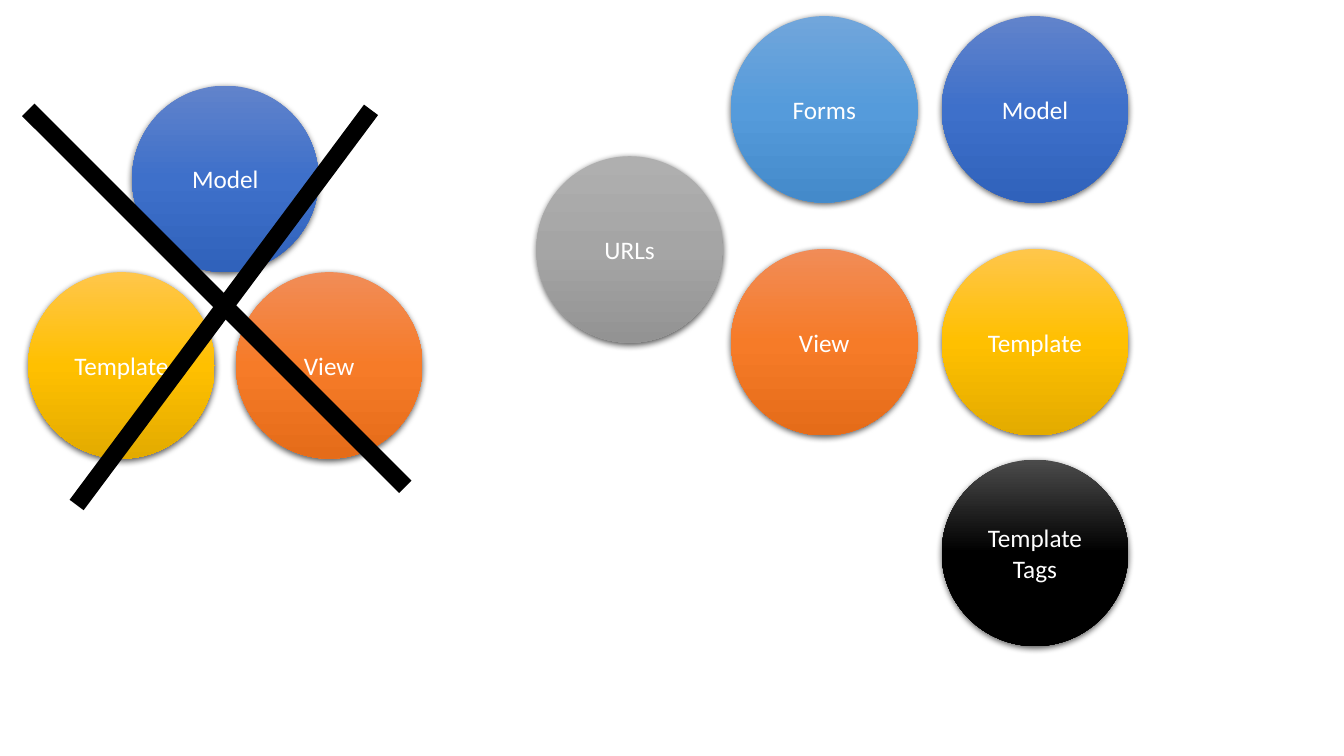
from copy import deepcopy
from typing import NamedTuple

from lxml import etree
from pptx import Presentation, util as u
from pptx.dml.color import RGBColor
from pptx.enum import shapes, text
from pptx.oxml import ns
from pptx.slide import Slide

PX = 9144
DIAMETER = 185
COLORS = {"text": "FFFFFF", "cross": "000000", "shadow": "000000"}
GRADIENTS = {
    "blue": ("6183CB", "3E70CA", "3062BB"),
    "orange": ("F18C57", "F67B28", "E56C19"),
    "gold": ("FFC64B", "FFC000", "E3AB00"),
    "gray": ("AFAFAF", "A5A5A5", "939393"),
    "black": ("4B4B4B", "000000", "000000"),
    "sky": ("71A6DB", "559BDB", "448ACA"),
}


class Circle(NamedTuple):
    label: str
    gradient: str
    left: int
    top: int


class Stroke(NamedTuple):
    x1: int
    y1: int
    x2: int
    y2: int


COLUMNS = (532, 725, 934)
ROWS = (16, 247, 456)
CIRCLES = (
    Circle("Model", "blue", 131, 85),
    Circle("View", "orange", 234, 270),
    Circle("Template", "gold", 28, 270),
    Circle("Model", "blue", COLUMNS[2], ROWS[0]),
    Circle("View", "orange", COLUMNS[1], ROWS[1]),
    Circle("Template", "gold", COLUMNS[2], ROWS[1]),
    Circle("URLs", "gray", COLUMNS[0], 155),
    Circle("Template Tags", "black", COLUMNS[2], ROWS[2]),
    Circle("Forms", "sky", COLUMNS[1], ROWS[0]),
)
CROSS = (Stroke(28, 109, 402, 483), Stroke(368, 109, 76, 501))


def px(value: int) -> u.Emu:
    return u.Emu(value * PX)


def add_effects(s) -> etree._Element:
    return etree.SubElement(s._element.spPr, ns.qn("a:effectLst"))


def add_shadow(s) -> None:
    shadow = etree.SubElement(
        add_effects(s), ns.qn("a:outerShdw"),
        blurRad=str(u.Pt(4.5)), dist=str(u.Pt(1.5)), dir="5400000",
        algn="ctr", rotWithShape="0",
    )
    color = etree.SubElement(shadow, ns.qn("a:srgbClr"), val=COLORS["shadow"])
    etree.SubElement(color, ns.qn("a:alpha"), val="63000")


def fill_gradient(s, colors: tuple[str, str, str]) -> None:
    s.fill.gradient()
    s.fill.gradient_angle = 270
    first = s._element.spPr.find(".//" + ns.qn("a:gs"))
    first.addnext(deepcopy(first))
    for stop, position, color in zip(s.fill.gradient_stops, (0, 0.5, 1), colors):
        stop.position = position
        stop.color.rgb = RGBColor.from_string(color)


def draw_circle(slide: Slide, circle: Circle) -> None:
    s = slide.shapes.add_shape(
        shapes.MSO_SHAPE.OVAL, px(circle.left), px(circle.top),
        px(DIAMETER), px(DIAMETER),
    )
    fill_gradient(s, GRADIENTS[circle.gradient])
    s.line.fill.background()
    add_shadow(s)
    tf = s.text_frame
    tf.word_wrap = True
    tf.vertical_anchor = text.MSO_ANCHOR.MIDDLE
    p = tf.paragraphs[0]
    p.text = circle.label
    p.alignment = text.PP_ALIGN.CENTER
    p.font.name = "Calibri"
    p.font.size = u.Pt(18)
    p.font.color.rgb = RGBColor.from_string(COLORS["text"])


def draw_stroke(slide: Slide, stroke: Stroke) -> None:
    s = slide.shapes.add_connector(
        shapes.MSO_CONNECTOR.STRAIGHT, *(px(value) for value in stroke)
    )
    s.line.width = u.Pt(12.5)
    s.line.color.rgb = RGBColor.from_string(COLORS["cross"])
    add_effects(s)


def main() -> None:
    prs = Presentation()
    prs.slide_width, prs.slide_height = px(1333), px(750)
    slide = prs.slides.add_slide(prs.slide_layouts[6])
    for circle in CIRCLES:
        draw_circle(slide, circle)
    for stroke in CROSS:
        draw_stroke(slide, stroke)
    prs.save("out.pptx")


if __name__ == "__main__":
    main()
